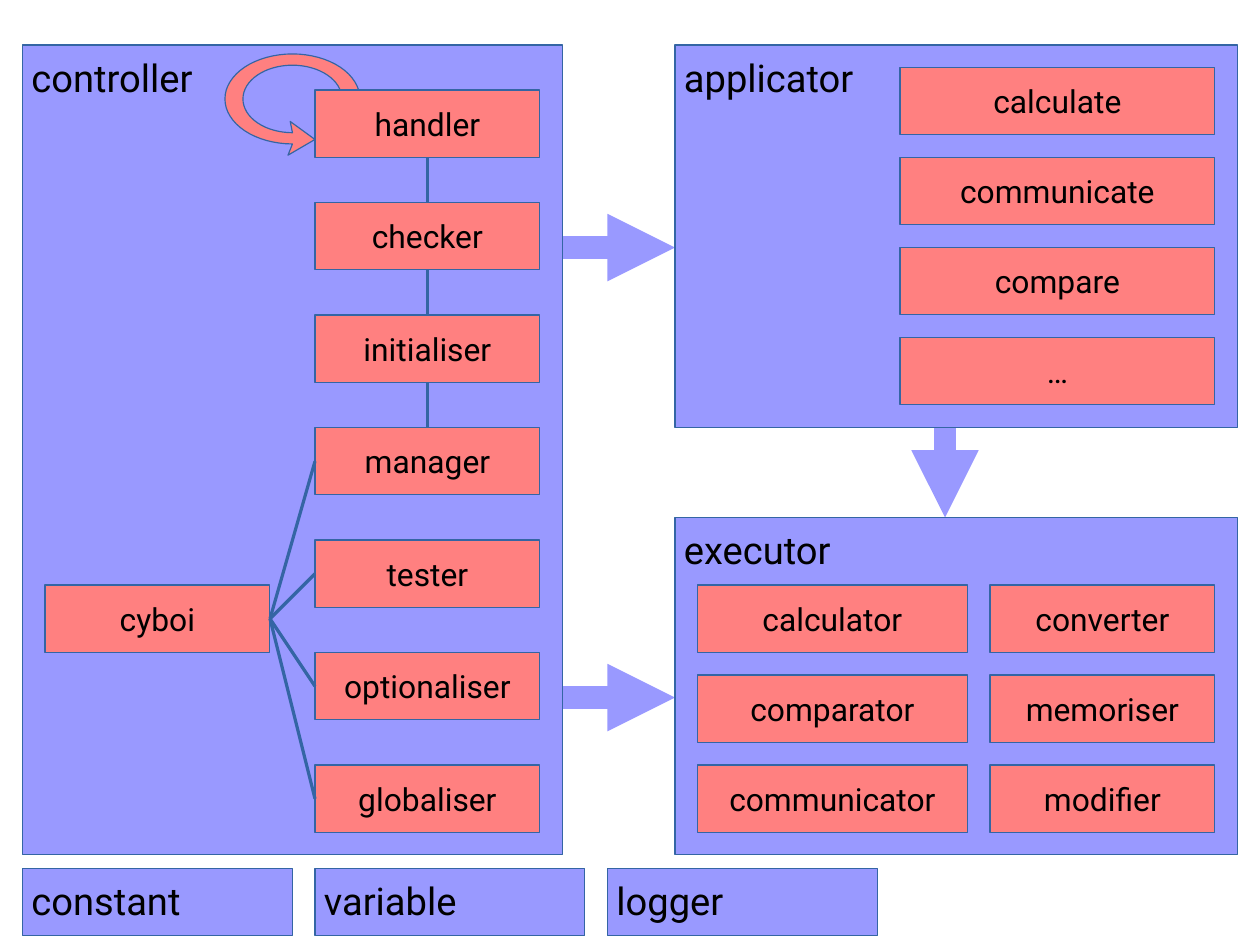
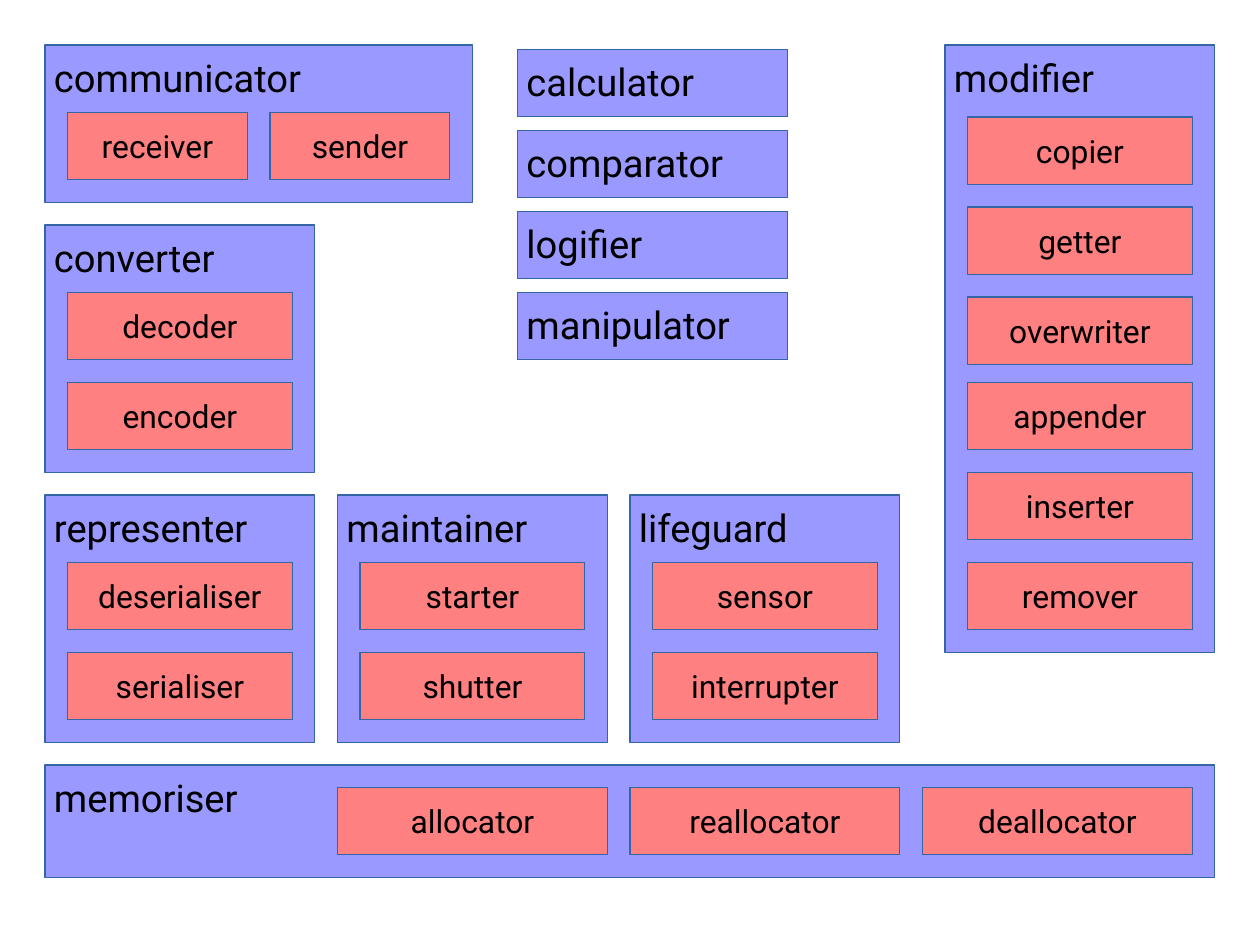
from math import cos, pi, sin

from lxml.etree import SubElement
from pptx import Presentation
from pptx.dml.color import RGBColor
from pptx.enum.shapes import MSO_CONNECTOR, MSO_SHAPE
from pptx.enum.text import MSO_ANCHOR, PP_ALIGN
from pptx.oxml.ns import qn
from pptx.util import Pt

PX = 18000  # EMU per px, half a millimetre
COLORS = {"panel": "9999FF", "box": "FF8080", "line": "3465A4", "text": "000000"}
FONT = "Roboto"
INSET = 4
BOX_HEIGHT = 30
TOP, LEFT, BOTTOM, RIGHT = range(4)  # connection sites of a rectangle


def color(name):
    return RGBColor.from_string(COLORS[name])


def px(*lengths):
    return [round(length * PX) for length in lengths]


def style_outline(shape, fill):
    shape.shadow.inherit = False
    shape.fill.solid()
    shape.fill.fore_color.rgb = color(fill)
    shape.line.color.rgb = color("line")
    shape.line.width = Pt(0)


def add_rectangle(slide, text, bounds, fill, size, anchor, alignment):
    shape = slide.shapes.add_shape(MSO_SHAPE.RECTANGLE, *px(*bounds))
    style_outline(shape, fill)
    frame = shape.text_frame
    frame.word_wrap = True
    frame.vertical_anchor = anchor
    frame.margin_left = frame.margin_right = INSET * PX
    frame.margin_top = frame.margin_bottom = INSET * PX
    paragraph = frame.paragraphs[0]
    paragraph.alignment = alignment
    run = paragraph.add_run()
    run.text = text
    run.font.name = FONT
    run.font.size = Pt(size)
    run.font.color.rgb = color("text")
    return shape


def add_panel(slide, text, left, top, width, height=BOX_HEIGHT):
    return add_rectangle(slide, text, (left, top, width, height), "panel", 24,
                         MSO_ANCHOR.TOP, PP_ALIGN.LEFT)


def add_box(slide, text, left, top, width=100):
    return add_rectangle(slide, text, (left, top, width, BOX_HEIGHT), "box", 20,
                         MSO_ANCHOR.MIDDLE, PP_ALIGN.CENTER)


def add_column(slide, add_item, texts, left, top, width=100, step=40):
    return [add_item(slide, text, left, top + index * step, width)
            for index, text in enumerate(texts)]


def add_row(slide, add_item, texts, left, top, width, step):
    return [add_item(slide, text, left + index * step, top, width)
            for index, text in enumerate(texts)]


def add_line(slide, points, line_color, width):
    connector = slide.shapes.add_connector(MSO_CONNECTOR.STRAIGHT, *px(*points))
    connector.line.color.rgb = color(line_color)
    connector.line.width = Pt(width)
    SubElement(connector._element.spPr, qn("a:effectLst"))
    return connector


def join(slide, start, start_site, end, end_site):
    """Draw a hairline glued to the sides of two boxes."""
    connector = add_line(slide, (0, 0, 0, 0), "line", 0)
    connector.begin_connect(start, start_site)
    connector.end_connect(end, end_site)


def add_arrow(slide, *points):
    connector = add_line(slide, points, "panel", 14.17)
    SubElement(connector.line._get_or_add_ln(), qn("a:tailEnd"), type="triangle")


def ellipse_arc(center, radii, steps=48):
    """Points from the right, over the top and the left, to the bottom."""
    angles = [-1.5 * pi * step / steps for step in range(steps + 1)]
    return [(center[0] + radii[0] * cos(angle), center[1] + radii[1] * sin(angle))
            for angle in angles]


def add_loop_arrow(slide, center):
    head = [(128, 69), (140, 62), (129, 54)]
    outline = ellipse_arc(center, (30, 20)) + head + ellipse_arc(center, (22, 15))[::-1]
    points = [px(*point) for point in outline]
    builder = slide.shapes.build_freeform(*points[0])
    builder.add_line_segments(points[1:], close=True)
    style_outline(builder.convert_to_shape(), "box")


def build_architecture(slide):
    add_arrow(slide, 420, 190, 420, 230)
    for middle in (110, 310):
        add_arrow(slide, 250, middle, 300, middle)

    add_panel(slide, "controller", 10, 20, 240, 360)
    add_loop_arrow(slide, (130, 44))
    cyboi = add_box(slide, "cyboi", 20, 260)
    parts = add_column(slide, add_box,
                       ["handler", "checker", "initialiser", "manager",
                        "tester", "optionaliser", "globaliser"], 140, 40, step=50)
    for upper, lower in zip(parts[:3], parts[1:4]):
        join(slide, lower, TOP, upper, BOTTOM)
    for part in parts[3:]:
        join(slide, cyboi, RIGHT, part, LEFT)

    add_panel(slide, "applicator", 300, 20, 250, 170)
    add_column(slide, add_box, ["calculate", "communicate", "compare", "…"], 400, 30, 140)

    add_panel(slide, "executor", 300, 230, 250, 150)
    add_column(slide, add_box, ["calculator", "comparator", "communicator"], 310, 260, 120)
    add_column(slide, add_box, ["converter", "memoriser", "modifier"], 440, 260)

    add_row(slide, add_panel, ["constant", "variable", "logger"], 10, 386, 120, 130)


def build_executor_modules(slide):
    add_column(slide, add_panel, ["calculator", "comparator", "logifier", "manipulator"],
               230, 22, 120, 36)

    add_panel(slide, "communicator", 20, 20, 190, 70)
    add_row(slide, add_box, ["receiver", "sender"], 30, 50, 80, 90)

    pairs = [
        ("converter", 20, 100, ["decoder", "encoder"]),
        ("representer", 20, 220, ["deserialiser", "serialiser"]),
        ("maintainer", 150, 220, ["starter", "shutter"]),
        ("lifeguard", 280, 220, ["sensor", "interrupter"]),
    ]
    for name, left, top, parts in pairs:
        add_panel(slide, name, left, top, 120, 110)
        add_column(slide, add_box, parts, left + 10, top + 30)

    add_panel(slide, "modifier", 420, 20, 120, 270)
    add_column(slide, add_box, ["copier", "getter", "overwriter"], 430, 52)
    add_column(slide, add_box, ["appender", "inserter", "remover"], 430, 170)

    add_panel(slide, "memoriser", 20, 340, 520, 50)
    add_row(slide, add_box, ["allocator", "reallocator", "deallocator"], 150, 350, 120, 130)


def main():
    presentation = Presentation()
    presentation.slide_width, presentation.slide_height = px(560, 420)
    for build in (build_architecture, build_executor_modules):
        build(presentation.slides.add_slide(presentation.slide_layouts[6]))
    presentation.save("out.pptx")


if __name__ == "__main__":
    main()
